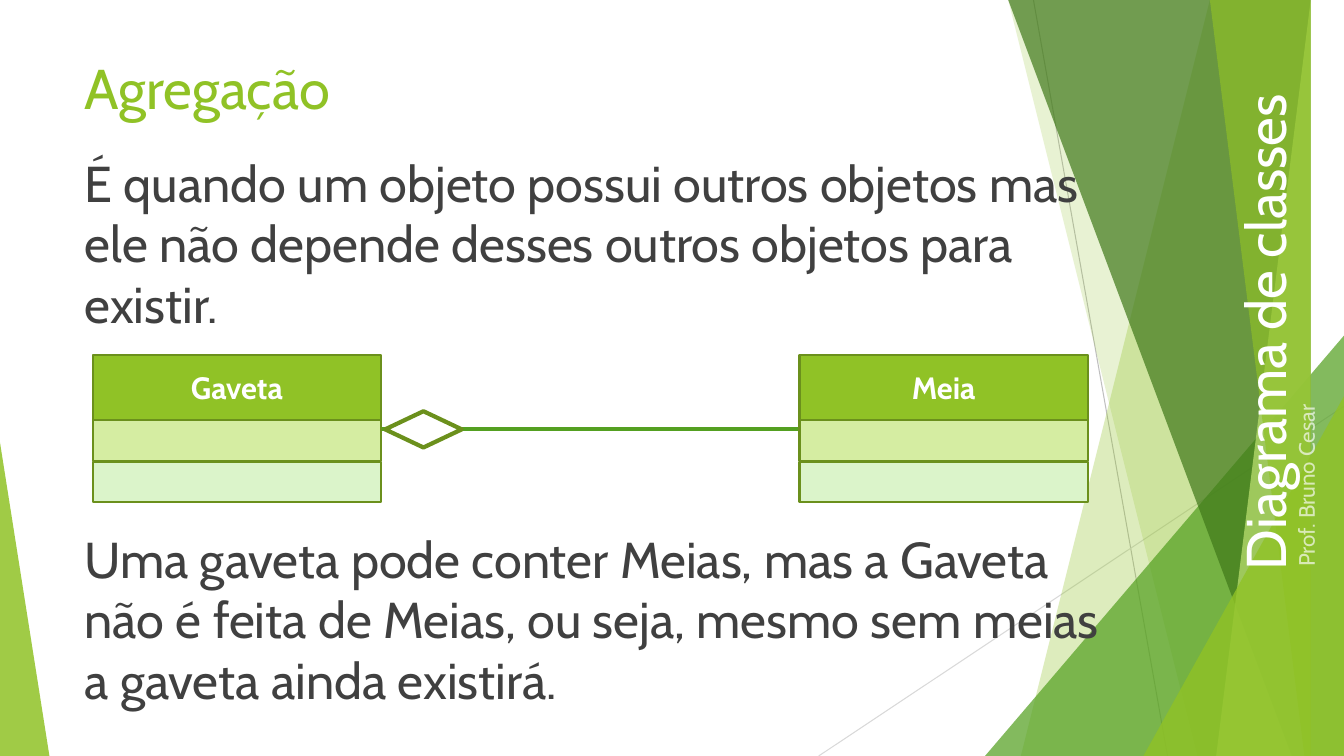
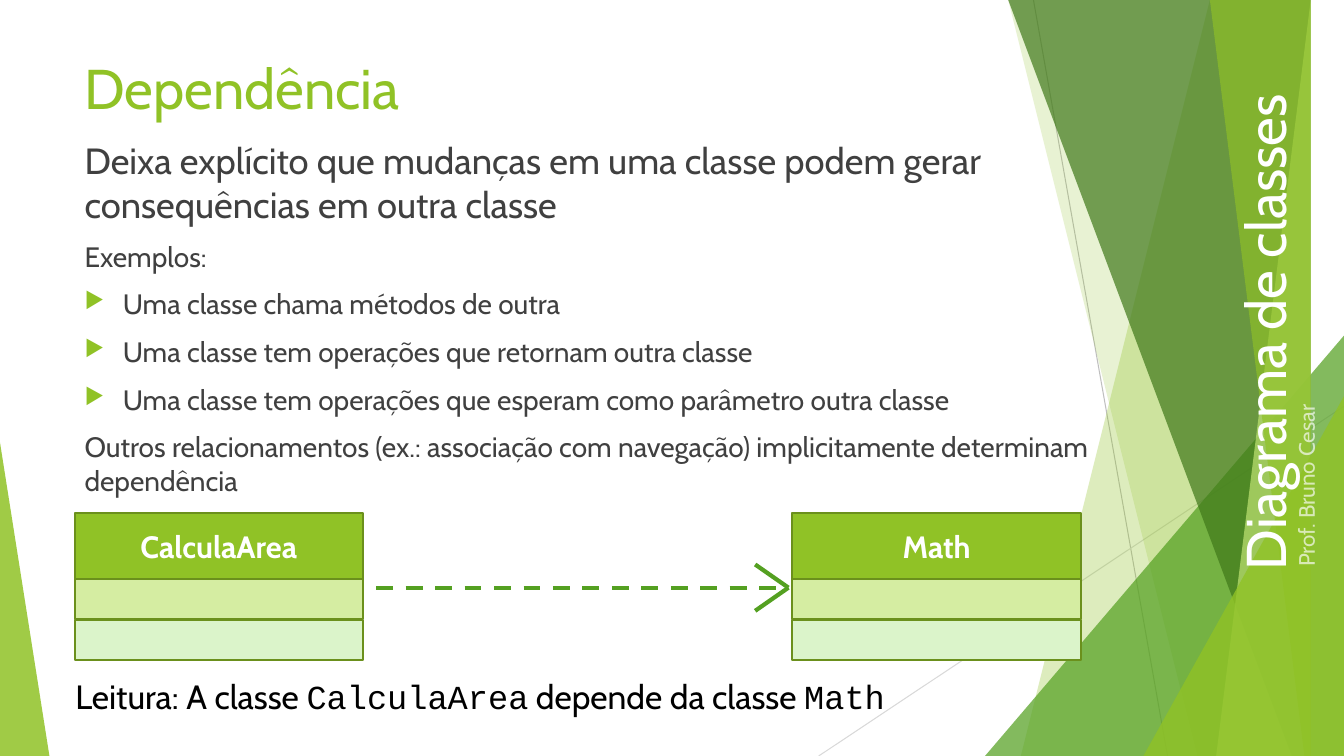
from lxml import etree
from pptx import Presentation
from pptx.dml.color import RGBColor
from pptx.enum import dml, shapes as sh, text as tx
from pptx.oxml import ns
from pptx.util import Inches, Pt

LIME, GREEN, EDGE, WHITE, GREY = "90C226", "54A021", "6B901C", "FFFFFF", "404040"
FONT, CODE = "Cabin", "Courier New"
WIDE, HIGH = 13.33, 7.5
KIND = sh.MSO_SHAPE


def color(code):
    return RGBColor.from_string(code)


def sub(node, tag, **attrs):
    return etree.SubElement(node, ns.qn(tag), attrs)


def fade(shape, alpha):
    tint = next(shape.element.iter(ns.qn("a:srgbClr")))
    sub(tint, "a:alpha", val=str(alpha * 1000))


def paint(shape, fill, edge=None, width=1.5, alpha=None):
    shape.shadow.inherit = False
    shape.fill.solid()
    shape.fill.fore_color.rgb = color(fill)
    if edge:
        shape.line.color.rgb = color(edge)
        shape.line.width = Pt(width)
    else:
        shape.line.fill.background()
    if alpha:
        fade(shape, alpha)


def block(slide, kind, box, *args, **opts):
    shape = slide.shapes.add_shape(kind, *map(Inches, box))
    paint(shape, *args, **opts)
    return shape


def line(slide, start, end, hue, width=3, dash=False):
    link = slide.shapes.add_connector(
        sh.MSO_CONNECTOR.STRAIGHT, *map(Inches, start + end))
    link.line.color.rgb = color(hue)
    link.line.width = Pt(width)
    if dash:
        link.line.dash_style = dml.MSO_LINE.DASH
    sub(link.element.spPr, "a:effectLst")


def style(item, size, hue, face=FONT, bold=False):
    font = item.font
    font.name, font.size, font.bold = face, Pt(size), bold
    font.color.rgb = color(hue)


def label(slide, box, words, size, hue, turn=0):
    shape = slide.shapes.add_textbox(*map(Inches, box))
    shape.rotation = turn
    frame = shape.text_frame
    frame.word_wrap = True
    frame.text = words
    for para in frame.paragraphs:
        style(para.runs[0], size, hue)
    return shape


def bullet(para):
    props = para._p.get_or_add_pPr()
    props.set("marL", str(Inches(0.38)))
    props.set("indent", str(Inches(-0.38)))
    sub(sub(props, "a:buClr"), "a:srgbClr", val=LIME)
    sub(props, "a:buSzPct", val="80000")
    sub(props, "a:buChar", char="▶")


# Background facets, back to front: top left, bottom left, colour, opacity
# A triangle is given by its box, tip position, colour and opacity
FACETS = [
    (12.28, 10.04, LIME, 30),
    (10.5, 11.83, LIME, 20),
    ((9.77, 3.33, 3.56, 4.17), 1, GREEN, 72),
    (10.21, 12.91, "3F7819", 70),
    (13.03, 11.92, "C0E474", 70),
    (11.96, 13.18, LIME, 65),
    ((11.34, 3.93, 1.99, 3.57), 1, LIME, 80),
    ((0, 4.39, 0.49, 3.11), 0, LIME, 85),
]


def facets(slide):
    line(slide, (10.25, 0), (11.58, HIGH), "BFBFBF", 0.75)
    line(slide, (WIDE, 4.03), (8.12, HIGH), "D9D9D9", 0.75)
    for place, foot, hue, alpha in FACETS:
        if isinstance(place, tuple):
            tri = block(slide, KIND.ISOSCELES_TRIANGLE, place, hue, alpha=alpha)
            tri.adjustments[0] = foot
        else:
            pen = slide.shapes.build_freeform(place, -0.01, scale=Inches(1))
            pen.add_line_segments([(WIDE, -0.01), (WIDE, HIGH), (foot, HIGH)])
            paint(pen.convert_to_shape(), hue, alpha=alpha)


def base(deck, title):
    """Slide with background, title and side band."""
    slide = deck.slides.add_slide(deck.slide_layouts[6])
    facets(slide)
    label(slide, (0.74, 0.48, 9.4, 0.93), title, 40, LIME)
    label(slide, (9.84, 2.67, 5.4, 0.77), "Diagrama de classes", 40, WHITE, 270)
    name = label(slide, (11.8, 4.3, 2.39, 0.45), "Prof. Bruno Cesar", 16, WHITE, 270)
    fade(name, 65)
    return slide


def entity(slide, left, top, name):
    """Class box with a name and two empty rows."""
    for gap, tall, fill in ((0, 0.65, LIME), (0.65, 0.4, "D5EDA2"),
                            (1.06, 0.4, "DBF4CA")):
        row = block(slide, KIND.RECTANGLE, (left, top + gap, 2.86, tall), fill, EDGE)
        if not gap:
            frame = row.text_frame
            frame.text = name
            frame.vertical_anchor = tx.MSO_ANCHOR.MIDDLE
            frame.paragraphs[0].alignment = tx.PP_ALIGN.CENTER
            style(frame.paragraphs[0].runs[0], 22, WHITE, bold=True)


def whole(slide, left, top):
    """Aggregation between two classes."""
    mid = top + 0.74
    line(slide, (left + 2.7, mid), (left + 7.08, mid), GREEN)
    entity(slide, left, top, "Gaveta")
    entity(slide, left + 7.01, top, "Meia")
    block(slide, KIND.FLOWCHART_DECISION, (left + 2.9, mid - 0.18, 0.76, 0.36),
          WHITE, EDGE, 3)


def depend(slide, left, top):
    """Dashed arrow between two classes."""
    mid, tip = top + 0.74, left + 7.08
    line(slide, (left + 2.7, mid), (tip, mid), GREEN, dash=True)
    entity(slide, left, top, "CalculaArea")
    entity(slide, left + 7.12, top, "Math")
    for rise in (-0.23, 0.23):
        line(slide, (tip - 0.33, mid + rise), (tip, mid), GREEN)


def first(deck):
    slide = base(deck, "Agregação")
    label(slide, (0.74, 1.46, 10.51, 2.06),
          "É quando um objeto possui outros objetos mas ele não depende "
          "desses outros objetos para existir.", 36, GREY)
    whole(slide, 0.92, 3.52)
    label(slide, (0.74, 5.19, 10.51, 2.06),
          "Uma gaveta pode conter Meias, mas a Gaveta não é feita de Meias, "
          "ou seja, mesmo sem meias a gaveta ainda existirá.", 36, GREY)


def second(deck):
    slide = base(deck, "Dependência")
    words = [
        "Deixa explícito que mudanças em uma classe podem gerar "
        "consequências em outra classe",
        "Exemplos:",
        "Uma classe chama métodos de outra",
        "Uma classe tem operações que retornam outra classe",
        "Uma classe tem operações que esperam como parâmetro outra classe",
        "Outros relacionamentos (ex.: associação com navegação) "
        "implicitamente determinam dependência",
    ]
    body = label(slide, (0.74, 1.32, 10.97, 5.4), "\n".join(words), 20, GREY)
    paras = body.text_frame.paragraphs
    paras[0].runs[0].font.size = Pt(26)
    for para in paras[2:5]:
        bullet(para)
    for para in paras[1:]:
        para.space_before = Pt(10)
    depend(slide, 0.74, 5.09)

    # Reading of the diagram
    note = slide.shapes.add_textbox(*map(Inches, (0.65, 6.66, 8.52, 0.5)))
    note.text_frame.word_wrap = False
    note.text_frame.auto_size = tx.MSO_AUTO_SIZE.SHAPE_TO_FIT_TEXT
    para = note.text_frame.paragraphs[0]
    for part, face in (("Leitura: A classe ", FONT), ("CalculaArea", CODE),
                       (" depende da classe ", FONT), ("Math", CODE)):
        run = para.add_run()
        run.text = part
        style(run, 24, "000000", face)


def main():
    deck = Presentation()
    deck.slide_width, deck.slide_height = Inches(WIDE), Inches(HIGH)
    first(deck)
    second(deck)
    deck.save("out.pptx")


if __name__ == "__main__":
    main()
